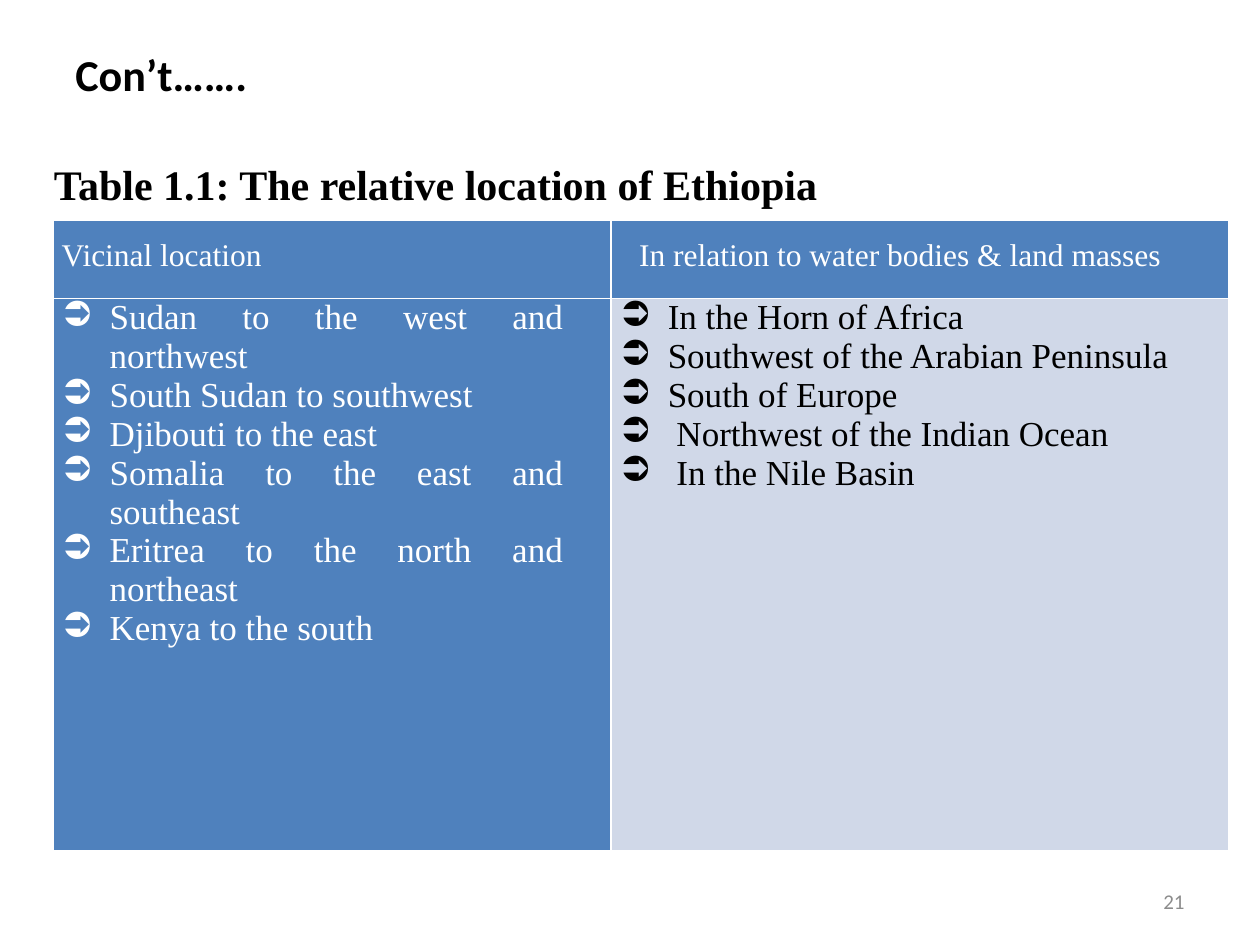
from lxml import etree
from pptx import Presentation
from pptx.dml.color import RGBColor
from pptx.enum.text import MSO_ANCHOR, PP_ALIGN
from pptx.oxml.ns import qn
from pptx.util import Inches, Pt

LEFT, CENTER, RIGHT = PP_ALIGN.LEFT, PP_ALIGN.CENTER, PP_ALIGN.RIGHT
JUSTIFY = PP_ALIGN.JUSTIFY
TOP, MIDDLE = MSO_ANCHOR.TOP, MSO_ANCHOR.MIDDLE

COLORS = {"black": "000000", "white": "FFFFFF", "blue": "4F81BD",
          "pale": "D0D8E8", "gray": "8C8C8C"}
SERIF, SANS = "Times New Roman", "Calibri"

# Content: text, (left, top, width, height), font, size, color, bold, align, anchor
TEXTS = [
    ("Con’t…….", (0.5, 0.3, 9, 0.57), SANS, 25.2, "black", True, LEFT, MIDDLE),
    ("Table 1.1: The relative location of Ethiopia", (0.33, 1.21, 9.42, 0.5),
     SERIF, 24, "black", True, LEFT, TOP),
    ("21", (7.17, 6.95, 2.33, 0.4), SANS, 12, "gray", False, RIGHT, MIDDLE),
]
COLUMNS = [
    {"header": "Vicinal location", "align": JUSTIFY, "width": 4.43,
     "fill": "blue", "color": "white",
     "items": ["Sudan to the west and northwest", "South Sudan to southwest",
               "Djibouti to the east", "Somalia to the east and southeast",
               "Eritrea to the north and northeast", "Kenya to the south"]},
    {"header": "In relation to water bodies & land masses", "align": CENTER,
     "width": 4.9, "fill": "pale", "color": "black",
     "items": ["In the Horn of Africa", "Southwest of the Arabian Peninsula",
               "South of Europe", " Northwest of the Indian Ocean",
               " In the Nile Basin"]},
]
ROW_HEIGHTS = [0.62, 4.38]
TABLE_LEFT, TABLE_TOP = 0.42, 1.75
BULLET, INDENT = "➲", 0.38


def rgb(name):
    return RGBColor.from_string(COLORS[name])


def add_span(para, text, font, size, color, bold=False):
    span = para.add_run()
    span.text = text
    span.font.name, span.font.size, span.font.bold = font, Pt(size), bold
    span.font.color.rgb = rgb(color)


def add_bullet(para):
    props = para._p.get_or_add_pPr()
    props.set("marL", str(Inches(INDENT)))
    props.set("indent", str(-Inches(INDENT)))
    etree.SubElement(props, qn("a:buChar")).set("char", BULLET)


def add_borders(cell):
    props = cell._tc.get_or_add_tcPr()
    for index, side in enumerate(("lnL", "lnR", "lnT", "lnB")):
        line = etree.Element(qn(f"a:{side}"), w=str(Pt(1)))
        fill = etree.SubElement(line, qn("a:solidFill"))
        etree.SubElement(fill, qn("a:srgbClr")).set("val", COLORS["white"])
        props.insert(index, line)


def style_cell(cell, fill):
    cell.margin_left, cell.margin_right = Inches(0.07), Inches(0.38)
    cell.margin_top = cell.margin_bottom = 0
    cell.fill.solid()
    cell.fill.fore_color.rgb = rgb(fill)
    add_borders(cell)


deck = Presentation()
deck.slide_width, deck.slide_height = Inches(10), Inches(7.5)
page = deck.slides.add_slide(deck.slide_layouts[6])

# Title, caption and page number
for text, place, font, size, color, bold, align, anchor in TEXTS:
    box = page.shapes.add_textbox(*map(Inches, place))
    frame = box.text_frame
    frame.word_wrap, frame.vertical_anchor = True, anchor
    para = frame.paragraphs[0]
    para.alignment = align
    add_span(para, text, font, size, color, bold)

# Location table
table_width = sum(column["width"] for column in COLUMNS)
table = page.shapes.add_table(
    len(ROW_HEIGHTS), len(COLUMNS), Inches(TABLE_LEFT), Inches(TABLE_TOP),
    Inches(table_width), Inches(sum(ROW_HEIGHTS))).table
for row, height in zip(table.rows, ROW_HEIGHTS):
    row.height = Inches(height)

for index, column in enumerate(COLUMNS):
    table.columns[index].width = Inches(column["width"])
    header, body = table.cell(0, index), table.cell(1, index)
    style_cell(header, "blue")
    style_cell(body, column["fill"])

    para = header.text_frame.paragraphs[0]
    para.alignment, para.line_spacing = column["align"], 1.5
    para.space_after = Pt(10)
    add_span(para, column["header"], SERIF, 18, "white")

    frame = body.text_frame
    for number, item in enumerate(column["items"]):
        para = frame.add_paragraph() if number else frame.paragraphs[0]
        para.alignment = JUSTIFY
        add_bullet(para)
        add_span(para, item, SERIF, 20, column["color"])

deck.save("out.pptx")
